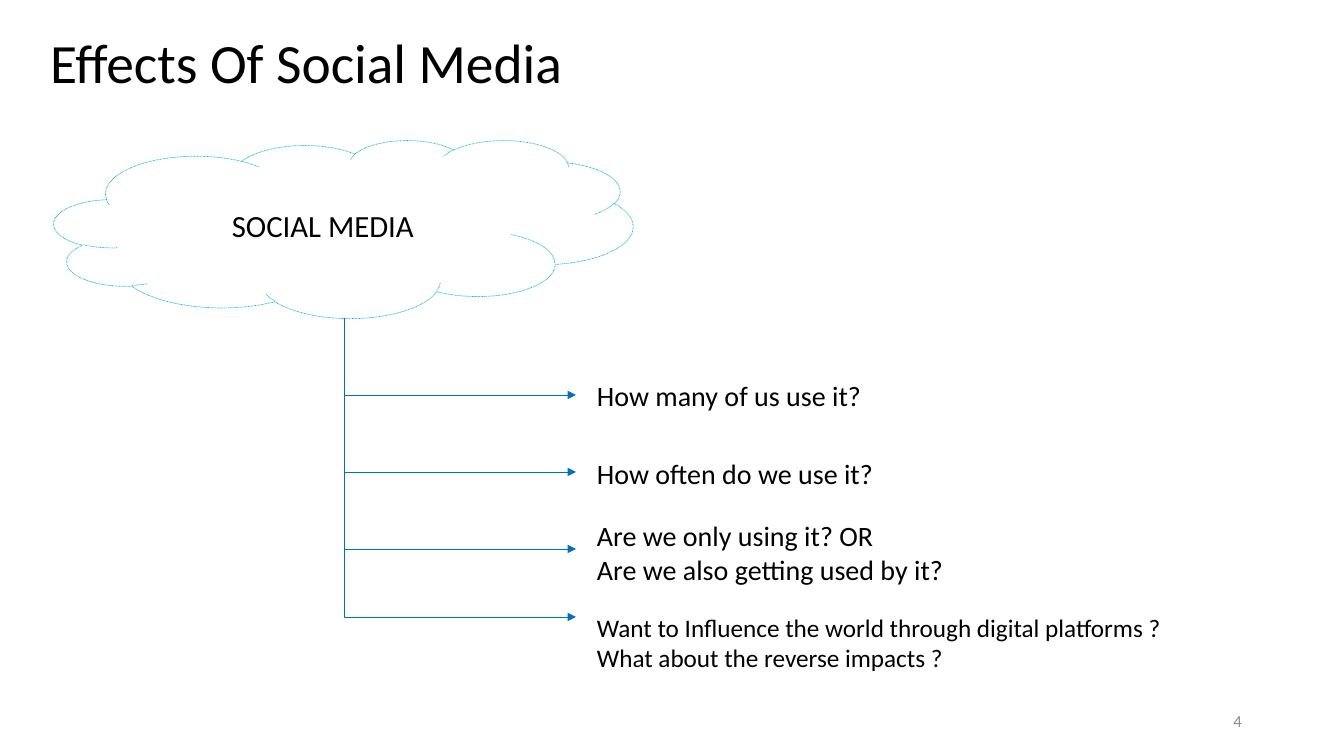
from dataclasses import dataclass

from lxml import etree
from pptx import Presentation
from pptx.dml.color import RGBColor
from pptx.enum.dml import MSO_LINE
from pptx.enum.shapes import MSO_CONNECTOR, MSO_SHAPE
from pptx.enum.text import MSO_ANCHOR, MSO_AUTO_SIZE, PP_ALIGN
from pptx.oxml.ns import qn
from pptx.util import Emu, Pt

ELBOW = MSO_CONNECTOR.ELBOW
CLOUD = MSO_SHAPE.CLOUD
DOTTED = MSO_LINE.ROUND_DOT
TOP, MIDDLE = MSO_ANCHOR.TOP, MSO_ANCHOR.MIDDLE
LEFT, CENTER, RIGHT = PP_ALIGN.LEFT, PP_ALIGN.CENTER, PP_ALIGN.RIGHT

BLACK = RGBColor(0x00, 0x00, 0x00)
WHITE = RGBColor(0xFF, 0xFF, 0xFF)
SKY = RGBColor(0x00, 0xB0, 0xF0)
BLUE = RGBColor(0x00, 0x70, 0xC0)
GRAY = RGBColor(0x8C, 0x8C, 0x8C)

FONT = "Calibri"
EMU_PER_PIXEL = 914400 / 100.8
TRUNK_X, ARROW_END_X = 344, 576
BRANCH_DROP = 77
QUESTION_X, QUESTION_WIDTH = 587, 633


@dataclass(frozen=True)
class Question:
    lines: tuple[str, ...]
    top: int
    height: int
    arrow_y: int
    size: float = 20


QUESTIONS = (
    Question(("How many of us use it?",), 374, 44, 395),
    Question(("How often do we use it?",), 452, 44, 472),
    Question(("Are we only using it? OR", "Are we also getting used by it?"), 514, 78, 549),
    Question(
        ("Want to Influence the world through digital platforms ?",
         "What about the reverse impacts ?"),
        607, 72, 617, 18,
    ),
)


def px(pixels: float) -> Emu:
    return Emu(round(pixels * EMU_PER_PIXEL))


def write_text(shape, *lines: str, size: float, color: RGBColor = BLACK,
               align: PP_ALIGN = LEFT, anchor: MSO_ANCHOR = TOP,
               spacing: float = 1.0) -> None:
    frame = shape.text_frame
    frame.word_wrap = True
    frame.auto_size = MSO_AUTO_SIZE.NONE
    frame.vertical_anchor = anchor
    frame.text = "\n".join(lines)
    for paragraph in frame.paragraphs:
        paragraph.alignment = align
        paragraph.line_spacing = spacing
        font = paragraph.runs[0].font
        font.name = FONT
        font.size = Pt(size)
        font.color.rgb = color


def add_branch(shapes, arrow_y: int) -> None:
    run = ARROW_END_X - TRUNK_X
    center_x = (TRUNK_X + ARROW_END_X) / 2
    center_y = arrow_y - BRANCH_DROP / 2
    branch = shapes.add_connector(
        ELBOW,
        px(center_x + BRANCH_DROP / 2), px(center_y - run / 2),
        px(center_x - BRANCH_DROP / 2), px(center_y + run / 2),
    )
    branch.line.color.rgb = BLUE
    branch.line.width = Pt(0.5)
    properties = branch.element.spPr
    properties.find(qn("a:xfrm")).set("rot", str(270 * 60000))
    properties.find(qn("a:prstGeom")).set("prst", "bentConnector2")
    etree.SubElement(properties.find(qn("a:ln")), qn("a:tailEnd"), type="triangle")
    etree.SubElement(properties, qn("a:effectLst"))


def add_question(shapes, question: Question) -> None:
    box = shapes.add_textbox(
        px(QUESTION_X), px(question.top), px(QUESTION_WIDTH), px(question.height))
    write_text(box, *question.lines, size=question.size)


presentation = Presentation()
presentation.slide_width = px(1344)
presentation.slide_height = px(756)
slide = presentation.slides.add_slide(presentation.slide_layouts[5])
shapes = slide.shapes

title = shapes.title
title.left, title.top, title.width, title.height = px(40), px(31), px(983), px(70)
write_text(title, "Effects Of Social Media", size=39.6, anchor=MIDDLE, spacing=0.9)

topic = shapes.add_shape(CLOUD, px(54), px(140), px(579), px(178))
topic.shadow.inherit = False
topic.fill.solid()
topic.fill.fore_color.rgb = WHITE
topic.line.color.rgb = SKY
topic.line.width = Pt(0.5)
topic.line.dash_style = DOTTED
write_text(topic, "SOCIAL MEDIA", size=22, align=CENTER, anchor=MIDDLE)

for question in QUESTIONS:
    add_branch(shapes, question.arrow_y)
for question in QUESTIONS:
    add_question(shapes, question)

page_number = shapes.add_textbox(px(950), px(701), px(302), px(40))
write_text(page_number, "4", size=12, color=GRAY, align=RIGHT, anchor=MIDDLE)

presentation.save("out.pptx")
